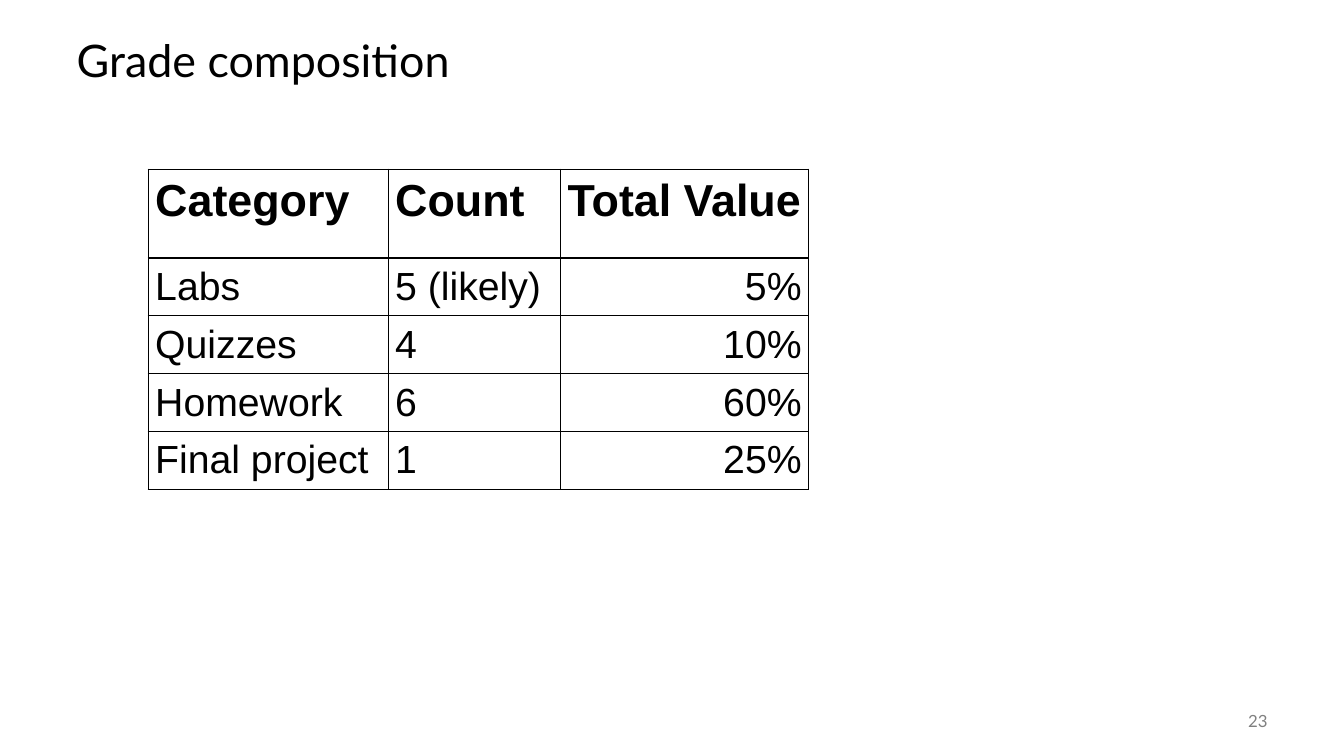
from typing import NamedTuple

from lxml.etree import SubElement
from pptx import Presentation
from pptx.dml.color import RGBColor
from pptx.enum.text import MSO_ANCHOR, PP_ALIGN
from pptx.oxml.ns import qn
from pptx.util import Inches, Pt

BLACK = "000000"
GRAY = "808080"
CELL_MARGIN = Inches(0.07)
BORDER_WIDTH = Pt(1)


class Column(NamedTuple):
    heading: str
    width: float
    alignment: PP_ALIGN


class Grade(NamedTuple):
    category: str
    count: str
    total_value: str


COLUMNS = [
    Column("Category", 2.38, PP_ALIGN.LEFT),
    Column("Count", 1.71, PP_ALIGN.LEFT),
    Column("Total Value", 2.46, PP_ALIGN.RIGHT),
]
GRADES = [
    Grade("Labs", "5 (likely)", "5%"),
    Grade("Quizzes", "4", "10%"),
    Grade("Homework", "6", "60%"),
    Grade("Final project", "1", "25%"),
]
HEADER_HEIGHT, GRADE_HEIGHT = 0.88, 0.57


def write_text(target, text: str, font_name: str, size: int, color: str,
               alignment: PP_ALIGN = PP_ALIGN.LEFT, bold: bool = False):
    """Fill a text frame with one formatted paragraph and return the paragraph."""
    target.text_frame.text = text
    paragraph = target.text_frame.paragraphs[0]
    paragraph.alignment = alignment
    font = paragraph.font
    font.name, font.size, font.bold = font_name, Pt(size), bold
    font.color.rgb = RGBColor.from_string(color)
    return paragraph


def add_borders(cell, color: str) -> None:
    """Draw a solid line on all four sides of a cell."""
    properties = cell._tc.get_or_add_tcPr()
    for position, side in enumerate(("lnL", "lnR", "lnT", "lnB")):
        line = SubElement(properties, qn(f"a:{side}"), w=str(BORDER_WIDTH))
        fill = SubElement(line, qn("a:solidFill"))
        SubElement(fill, qn("a:srgbClr"), val=color)
        properties.insert(position, line)


def add_title(slide) -> None:
    title = slide.shapes.title
    title.left, title.top = Inches(0.66), Inches(0.25)
    title.width, title.height = Inches(12), Inches(0.75)
    title.text_frame.vertical_anchor = MSO_ANCHOR.MIDDLE
    paragraph = write_text(title, "Grade composition", "Lato", 32, BLACK)
    paragraph.line_spacing = 0.9


def add_grade_table(slide) -> None:
    rows = [[column.heading for column in COLUMNS], *GRADES]
    width = sum(column.width for column in COLUMNS)
    height = HEADER_HEIGHT + GRADE_HEIGHT * len(GRADES)
    table = slide.shapes.add_table(
        len(rows), len(COLUMNS), Inches(1.47), Inches(1.68), Inches(width), Inches(height)
    ).table
    table.first_row = table.horz_banding = False
    for table_column, column in zip(table.columns, COLUMNS):
        table_column.width = Inches(column.width)

    for row_index, values in enumerate(rows):
        header = row_index == 0
        table.rows[row_index].height = Inches(HEADER_HEIGHT if header else GRADE_HEIGHT)
        for column_index, (column, value) in enumerate(zip(COLUMNS, values)):
            cell = table.cell(row_index, column_index)
            cell.fill.background()
            cell.margin_left = cell.margin_right = CELL_MARGIN
            cell.margin_top = cell.margin_bottom = CELL_MARGIN
            alignment = PP_ALIGN.LEFT if header else column.alignment
            write_text(cell, value, "Arial", 32 if header else 28, BLACK, alignment, header)
            add_borders(cell, BLACK)


def add_page_number(slide) -> None:
    box = slide.shapes.add_textbox(Inches(11.67), Inches(6.95), Inches(1), Inches(0.4))
    box.text_frame.word_wrap = True
    box.text_frame.vertical_anchor = MSO_ANCHOR.MIDDLE
    write_text(box, "23", "Lato", 12, GRAY, PP_ALIGN.RIGHT)


def main() -> None:
    presentation = Presentation()
    presentation.slide_width, presentation.slide_height = Inches(13.33), Inches(7.5)
    slide = presentation.slides.add_slide(presentation.slide_layouts.get_by_name("Title Only"))

    # Heading, grade breakdown and page number
    add_title(slide)
    add_grade_table(slide)
    add_page_number(slide)

    presentation.save("out.pptx")


if __name__ == "__main__":
    main()
